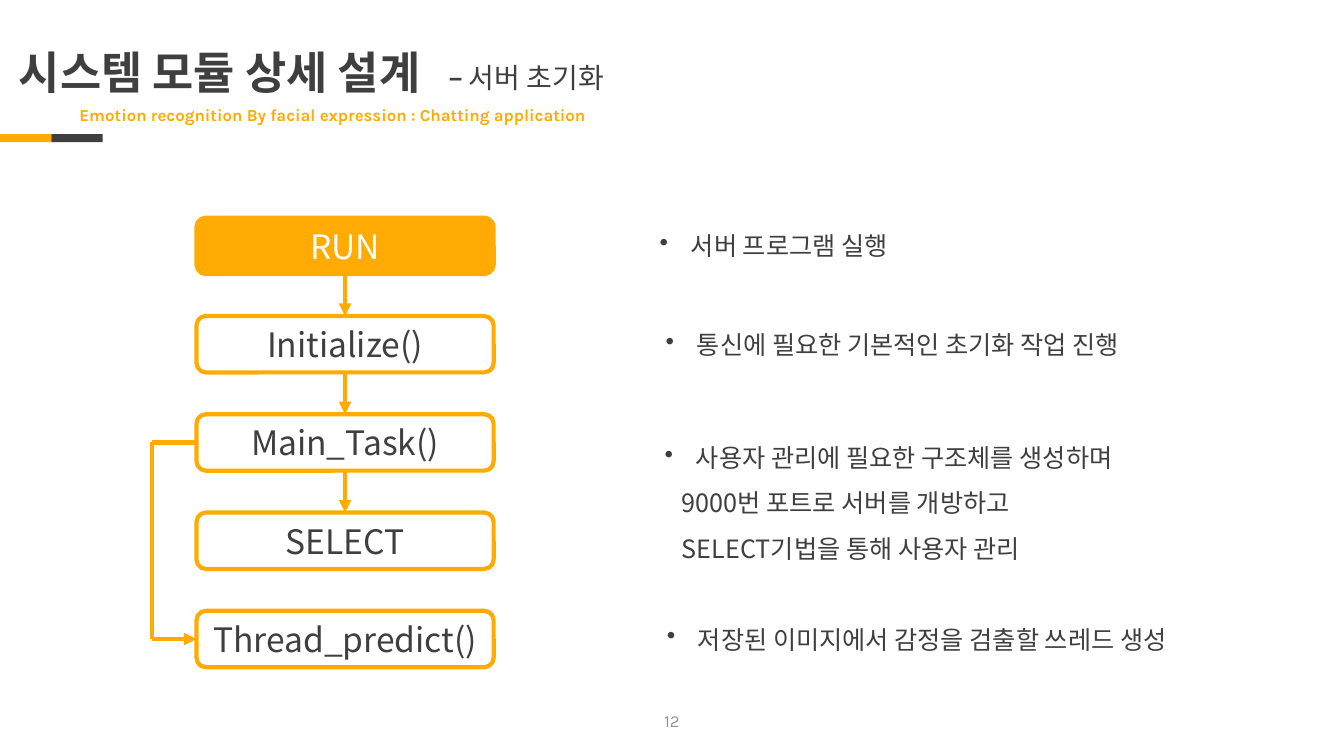
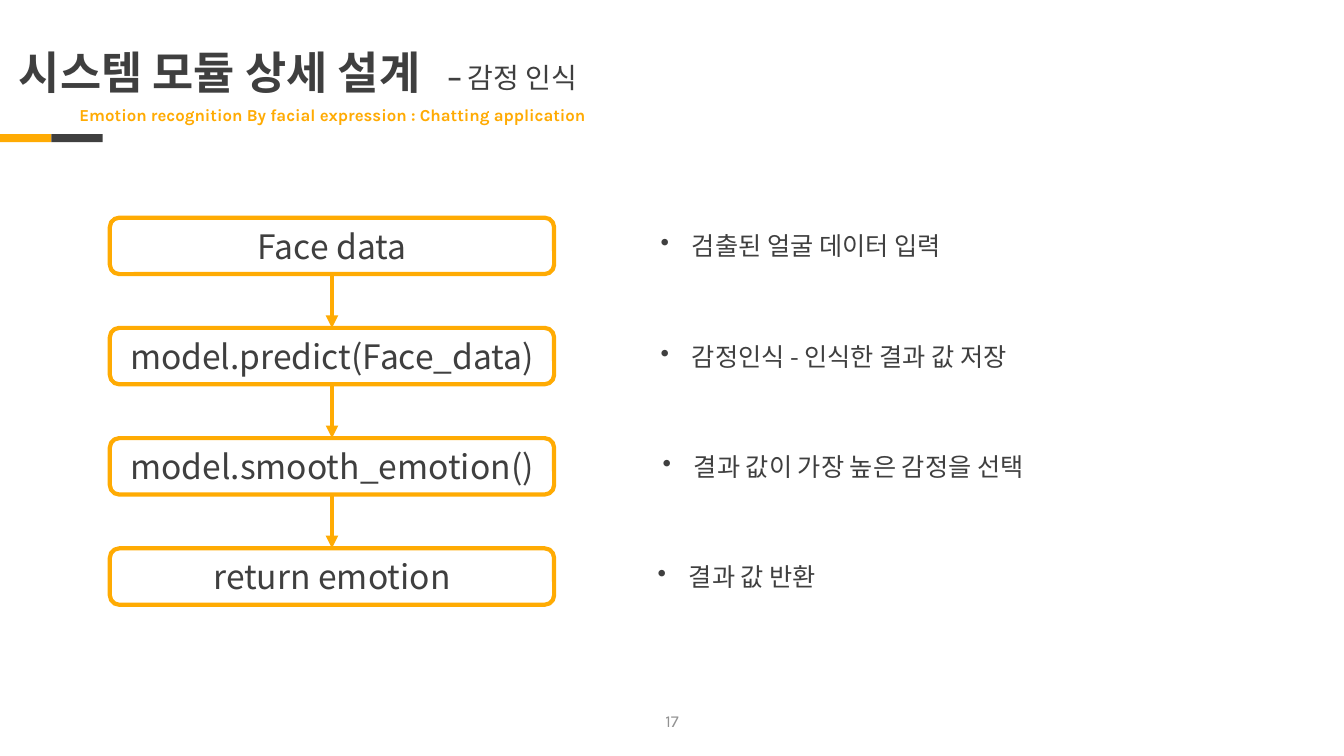
from lxml.etree import SubElement
from pptx import Presentation
from pptx.dml.color import RGBColor
from pptx.enum.shapes import MSO_CONNECTOR as CONN, MSO_SHAPE as SHAPE
from pptx.enum.text import MSO_ANCHOR as ANCHOR, PP_ALIGN as ALIGN
from pptx.oxml.ns import qn
from pptx.util import Inches, Pt

AMBER = RGBColor(0xFF, 0xAB, 0x03)
DARK = RGBColor(0x3F, 0x3F, 0x3F)
GRAY = RGBColor(0x92, 0x92, 0x92)
WHITE = RGBColor(0xFF, 0xFF, 0xFF)
KR, LATIN, DASH = "Noto Sans CJK KR", "Karla", "Manrope"

# Text styles
TITLE = dict(name=KR, size=Pt(32), bold=True, color=DARK)
SUBTITLE = dict(name=LATIN, size=Pt(12), bold=True, color=AMBER)
TOPIC_DASH = dict(name=DASH, size=Pt(20), bold=True, color=DARK)
TOPIC = dict(name=KR, size=Pt(20), bold=False, color=DARK)
STEP = dict(name=KR, size=Pt(24), color=DARK)
STEP_FILLED = dict(STEP, color=WHITE)
NOTE = dict(name=KR, size=Pt(18), color=DARK)
PAGE = dict(name=LATIN, size=Pt(12), color=GRAY)

# Content
HEADING = "시스템 모듈 상세 설계"
PROJECT = "Emotion recognition By facial expression : Chatting application"
SLIDES = [
    dict(
        topic="서버 초기화", topic_left=4.35, page="12",
        steps=["RUN", "Initialize()", "Main_Task()", "SELECT", "Thread_predict()"],
        left=1.95, width=2.95, last_top=6.06,
        filled={0}, arrows=[(0, 1), (1, 2), (2, 3)], side_branch=(2, 4),
        # row, left, lines
        notes=[
            (0, 6.45, ["서버 프로그램 실행"]),
            (1, 6.51, ["통신에 필요한 기본적인 초기화 작업 진행"]),
            (2, 6.5, ["사용자 관리에 필요한 구조체를 생성하며",
                      "9000번 포트로 서버를 개방하고",
                      "SELECT기법을 통해 사용자 관리"]),
            (4, 6.52, ["저장된 이미지에서 감정을 검출할 쓰레드 생성"]),
        ],
    ),
    dict(
        topic="감정 인식", topic_left=4.34, page="17",
        steps=["Face data", "model.predict(Face_data)",
               "model.smooth_emotion()", "return emotion"],
        left=1.09, width=4.41, last_top=5.44,
        filled=set(), arrows=[(0, 1), (1, 2), (2, 3)], side_branch=None,
        notes=[
            (0, 6.46, ["검출된 얼굴 데이터 입력"]),
            (1, 6.46, ["감정인식 - 인식한 결과 값 저장"]),
            (2, 6.48, ["결과 값이 가장 높은 감정을 선택"]),
            (3, 6.43, ["결과 값 반환"]),
        ],
    ),
]

# Flow chart geometry in inches
FIRST_TOP, STEP_H = 2.16, 0.56
BRANCH_X = 1.51
NOTE_H, NOTE_W = 0.4, 6
BULLET_INDENT, LINE_INDENT = 0.31, 0.17


def add_run(p, text, style):
    r = p.add_run()
    r.text = text
    for key, value in style.items():
        if key == "color":
            r.font.color.rgb = value
        else:
            setattr(r.font, key, value)
    SubElement(r._r.get_or_add_rPr(), qn("a:ea"), typeface=style["name"])


def add_text(slide, box, runs=(), anchor=ANCHOR.MIDDLE, align=ALIGN.LEFT, spacing=1.0):
    tf = slide.shapes.add_textbox(*map(Inches, box)).text_frame
    tf.word_wrap = True
    tf.vertical_anchor = anchor
    p = tf.paragraphs[0]
    p.alignment, p.line_spacing = align, spacing
    for text, style in runs:
        add_run(p, text, style)
    return tf


def add_block(slide, kind, box, fill=None):
    sp = slide.shapes.add_shape(kind, *map(Inches, box))
    sp.shadow.inherit = False
    if fill is None:
        sp.fill.background()
    else:
        sp.fill.solid()
        sp.fill.fore_color.rgb = fill
    return sp


def add_line(slide, start=(0, 0), end=(0, 0), begin_at=None, end_at=None, arrow=False):
    """Draw a line; begin_at and end_at are (shape, side) pairs to join."""
    c = slide.shapes.add_connector(CONN.STRAIGHT, *map(Inches, (*start, *end)))
    if begin_at:
        c.begin_connect(*begin_at)
    if end_at:
        c.end_connect(*end_at)
    c.line.color.rgb = AMBER
    c.line.width = Pt(3)
    if arrow:
        SubElement(c.line._get_or_add_ln(), qn("a:tailEnd"), type="triangle")
    SubElement(c._element.spPr, qn("a:effectLst"))


def add_frame(slide, data):
    # Two-colour band, headings and page number
    for i, color in enumerate((AMBER, DARK)):
        band = add_block(slide, SHAPE.RECTANGLE, (i * 0.51, 1.33, 0.51, 0.08), color)
        band.line.fill.background()
    add_text(slide, (0.09, 0.13, 11.5, 1.22), [(HEADING, TITLE)], spacing=0.9)
    add_text(slide, (0.69, 0.95, 11.5, 0.4), [(PROJECT, SUBTITLE)], spacing=0.9)
    add_text(slide, (data["topic_left"], 0.55, 3, 0.44),
             [("– ", TOPIC_DASH), (data["topic"], TOPIC)], anchor=ANCHOR.TOP)
    add_text(slide, (5.17, 6.95, 3, 0.4), [(data["page"], PAGE)], align=ALIGN.CENTER)


def add_steps(slide, data, tops):
    boxes = []
    for i, (text, top) in enumerate(zip(data["steps"], tops)):
        filled = i in data["filled"]
        sp = add_block(slide, SHAPE.ROUNDED_RECTANGLE,
                       (data["left"], top, data["width"], STEP_H),
                       AMBER if filled else None)
        sp.line.color.rgb = AMBER
        sp.line.width = Pt(3)
        tf = sp.text_frame
        tf.vertical_anchor = ANCHOR.MIDDLE
        p = tf.paragraphs[0]
        p.alignment = ALIGN.CENTER
        add_run(p, text, STEP_FILLED if filled else STEP)
        boxes.append(sp)

    for a, b in data["arrows"]:
        add_line(slide, begin_at=(boxes[a], 2), end_at=(boxes[b], 0), arrow=True)

    # Branch that leaves and re-enters on the left side
    if data["side_branch"]:
        a, b = data["side_branch"]
        upper, lower = ((BRANCH_X, tops[i] + STEP_H / 2) for i in (a, b))
        add_line(slide, end=upper, begin_at=(boxes[a], 1))
        add_line(slide, upper, lower)
        add_line(slide, lower, end_at=(boxes[b], 1), arrow=True)


def add_notes(slide, data, tops):
    for row, left, lines in data["notes"]:
        top = tops[row] + (STEP_H - NOTE_H) / 2
        tf = add_text(slide, (left, top, NOTE_W, NOTE_H), anchor=ANCHOR.TOP)
        for i, text in enumerate(lines):
            p = tf.add_paragraph() if i else tf.paragraphs[0]
            pPr = p._p.get_or_add_pPr()
            if i:
                pPr.set("marL", str(Inches(LINE_INDENT)))
            else:
                pPr.set("marL", str(Inches(BULLET_INDENT)))
                pPr.set("indent", str(-Inches(BULLET_INDENT)))
                SubElement(SubElement(pPr, qn("a:buClr")), qn("a:srgbClr"), val=str(DARK))
                SubElement(pPr, qn("a:buChar"), char="•")
            p.line_spacing = 1.5 if len(lines) > 1 else 1.0
            add_run(p, text, NOTE)


def main():
    prs = Presentation()
    prs.slide_width, prs.slide_height = Inches(13.34), Inches(7.5)
    for data in SLIDES:
        slide = prs.slides.add_slide(prs.slide_layouts[6])
        count = len(data["steps"])
        pitch = (data["last_top"] - FIRST_TOP) / (count - 1)
        tops = [FIRST_TOP + i * pitch for i in range(count)]
        add_frame(slide, data)
        add_steps(slide, data, tops)
        add_notes(slide, data, tops)
    prs.save("out.pptx")


if __name__ == "__main__":
    main()
